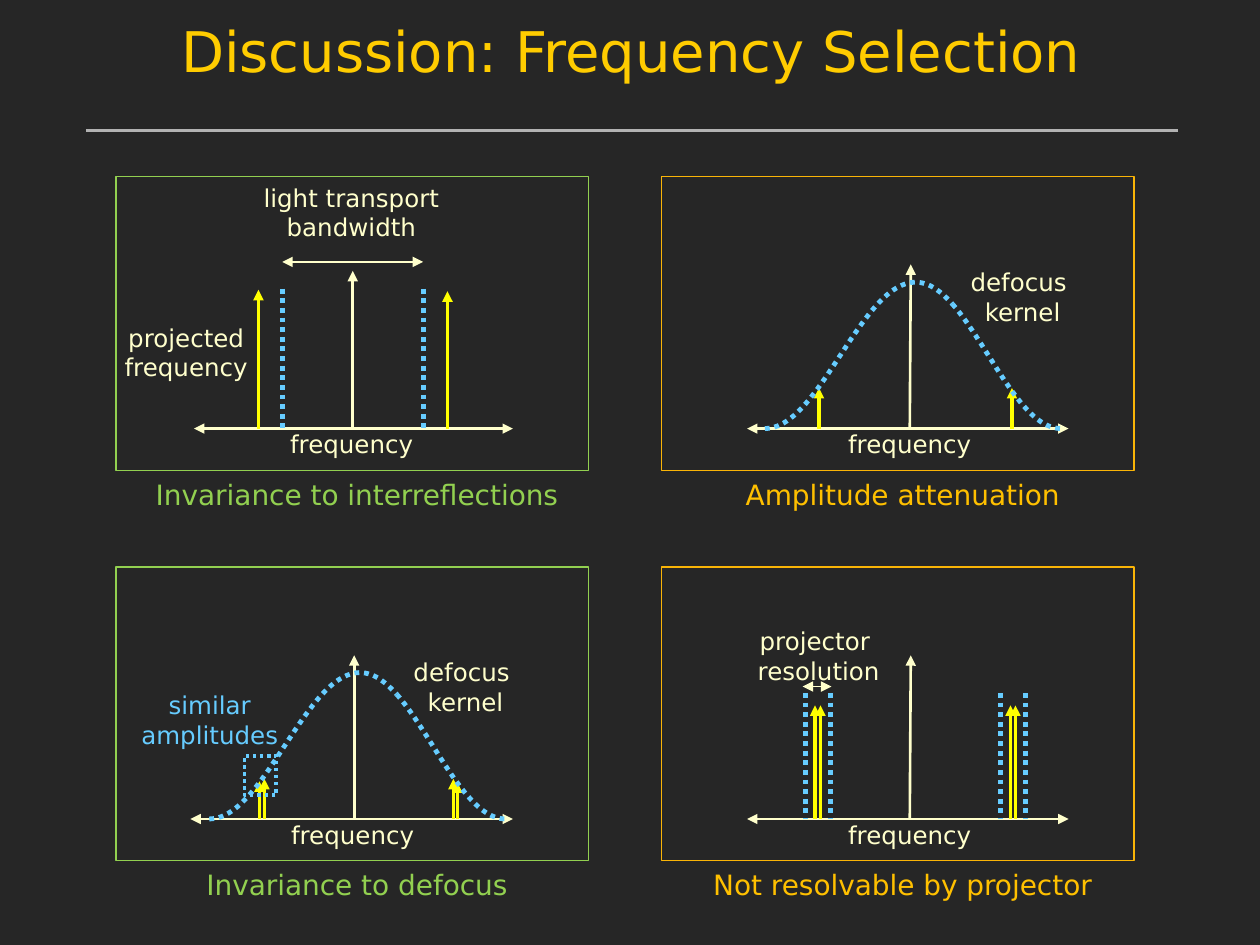
import math

import lxml.etree
import pptx
import pptx.dml.color
import pptx.enum.dml
import pptx.enum.shapes
import pptx.enum.text
import pptx.oxml.ns
import pptx.util

Cm = pptx.util.Cm
COLORS = {
    "background": "262626", "title": "FFCC00", "rule": "B2B2B2", "axis": "FFFFCC",
    "spike": "FFFF00", "dotted": "66CCFF", "good": "92D050",
    "bad": "FFC000", "bad_frame": "F9B407",
}
FONT = "DejaVu Sans"
ROW_STEP = 7.87
COLUMN_STEP = 11
BASELINES = [8.64, 8.64 + ROW_STEP]


class Deck:
    def __init__(self):
        self.presentation = pptx.Presentation()
        self.presentation.slide_width = Cm(25.4)
        self.presentation.slide_height = Cm(19.05)
        self.slide = self.presentation.slides.add_slide(self.presentation.slide_layouts[6])
        fill = self.slide.background.fill
        fill.solid()
        fill.fore_color.rgb = self.color("background")

    def color(self, name):
        return pptx.dml.color.RGBColor.from_string(COLORS[name])

    def style_line(self, line, color, width, dotted=False):
        line.color.rgb = self.color(color)
        line.width = pptx.util.Pt(width)
        if dotted:
            line.dash_style = pptx.enum.dml.MSO_LINE.ROUND_DOT

    def text(self, lines, left, top, width, height, color="axis", size=14, grow=True):
        box = self.slide.shapes.add_textbox(Cm(left), Cm(top), Cm(width), Cm(height))
        frame = box.text_frame
        frame.word_wrap = True
        if grow:
            frame.auto_size = pptx.enum.text.MSO_AUTO_SIZE.SHAPE_TO_FIT_TEXT
        for index, line in enumerate(lines):
            paragraph = frame.add_paragraph() if index else frame.paragraphs[0]
            paragraph.alignment = pptx.enum.text.PP_ALIGN.CENTER
            run = paragraph.add_run()
            run.text = line
            run.font.name = FONT
            run.font.size = pptx.util.Pt(size)
            run.font.color.rgb = self.color(color)

    def line(self, start, end, color, width, head=False, tail=False, dotted=False):
        connector = self.slide.shapes.add_connector(
            pptx.enum.shapes.MSO_CONNECTOR.STRAIGHT, *map(Cm, start + end))
        self.style_line(connector.line, color, width, dotted)
        properties = connector._element.spPr
        outline = connector.line._get_or_add_ln()
        for tag, wanted in (("a:headEnd", head), ("a:tailEnd", tail)):
            if wanted:
                lxml.etree.SubElement(outline, pptx.oxml.ns.qn(tag), type="triangle")
        lxml.etree.SubElement(properties, pptx.oxml.ns.qn("a:effectLst"))

    def rectangle(self, left, top, width, height, color, weight, dotted=False):
        shape = self.slide.shapes.add_shape(
            pptx.enum.shapes.MSO_SHAPE.RECTANGLE, Cm(left), Cm(top), Cm(width), Cm(height))
        shape.shadow.inherit = False
        shape.fill.background()
        self.style_line(shape.line, color, weight, dotted)

    def axes(self, left, right, foot, tip, top, baseline, label_left):
        self.line((left, baseline), (right, baseline), "axis", 1.5, head=True, tail=True)
        self.line((foot, baseline), (tip, top), "axis", 1.5, tail=True)
        self.text(["frequency"], label_left, baseline - 0.11, 6.6, 0.97)

    def spikes(self, positions, baseline):
        for x, top in positions:
            self.line((x, top), (x, baseline), "spike", 2, head=True)

    def limits(self, positions, top, baseline):
        for x in positions:
            self.line((x, top), (x, baseline), "dotted", 2.75, dotted=True)

    def kernel(self, left, baseline, height=2.95, peak=3.04, split=3.78, end=5.97, steps=60):
        def point(x):
            phase = x / peak if x < peak else (end - x) / (end - peak)
            y = baseline - height * (1 - math.cos(math.pi * phase)) / 2
            return Cm(left + x), Cm(y)

        group = self.slide.shapes.add_group_shape()
        for first, last in ((0, split), (split, end)):
            points = [point(first + (last - first) * step / steps) for step in range(steps + 1)]
            builder = group.shapes.build_freeform(*points[0])
            builder.add_line_segments(points[1:], close=False)
            shape = builder.convert_to_shape()
            shape.shadow.inherit = False
            shape.fill.background()
            self.style_line(shape.line, "dotted", 2.75, dotted=True)


def main():
    deck = Deck()
    upper, lower = BASELINES
    deck.text(["Discussion: Frequency Selection"], 0.79, 0.2, 23.88, 2.34, "title", 32, False)
    deck.line((1.73, 2.64), (23.75, 2.64), "rule", 1.75)

    captions = [
        ["Invariance to interreflections", "Amplitude attenuation"],
        ["Invariance to defocus", "Not resolvable by projector"],
    ]
    column_colors = [("good", "good"), ("bad", "bad_frame")]
    for row, row_captions in enumerate(captions):
        for column, caption in enumerate(row_captions):
            text_color, frame_color = column_colors[column]
            x, y = column * COLUMN_STEP, row * ROW_STEP
            deck.rectangle(2.34 + x, 3.56 + y, 9.52, 5.92, frame_color, 0.75)
            deck.text([caption], 1.7 + x, 9.5 + y, 11, 1.7, text_color, 16, False)

    deck.axes(3.91, 10.34, 7.11, 7.11, 5.46, upper, 3.79)
    deck.limits([5.69, 8.53], 5.82, upper)
    deck.spikes([(5.21, 5.84), (9.02, 5.87)], upper)
    deck.line((5.69, 5.28), (8.53, 5.28), "axis", 1, head=True, tail=True)
    deck.text(["light transport bandwidth"], 3.81, 3.56, 6.55, 1.45)
    deck.text(["projected", "frequency"], 0.48, 6.38, 6.55, 1.45)

    deck.axes(15.06, 21.54, 18.34, 18.36, 5.33, upper, 15.04)
    deck.spikes([(16.51, 7.82), (20.4, 7.82)], upper)
    deck.kernel(15.42, upper)
    deck.text(["defocus ", "kernel"], 17.3, 5.26, 6.63, 1.45)

    deck.axes(3.84, 10.34, 7.14, 7.14, 13.21, lower, 3.81)
    deck.spikes([(5.23, 15.75), (5.33, 15.7), (9.14, 15.7), (9.22, 15.77)], lower)
    deck.rectangle(4.93, 15.24, 0.64, 0.79, "dotted", 2, dotted=True)
    deck.kernel(4.22, lower)
    deck.text(["defocus ", "kernel"], 6.07, 13.13, 6.63, 1.45)
    deck.text(["similar amplitudes"], 2.54, 13.79, 3.38, 1.45, "dotted")

    deck.axes(15.06, 21.54, 18.34, 18.36, 13.21, lower, 15.04)
    deck.limits([16.23, 16.74, 20.17, 20.68], 13.97, lower)
    deck.spikes([(x, 14.22) for x in (16.43, 16.54, 20.37, 20.47)], lower)
    deck.line((16.18, 13.84), (16.76, 13.84), "axis", 1, head=True, tail=True)
    deck.text(["projector ", "resolution"], 13.23, 12.5, 6.55, 1.45)

    deck.presentation.save("out.pptx")


if __name__ == "__main__":
    main()
